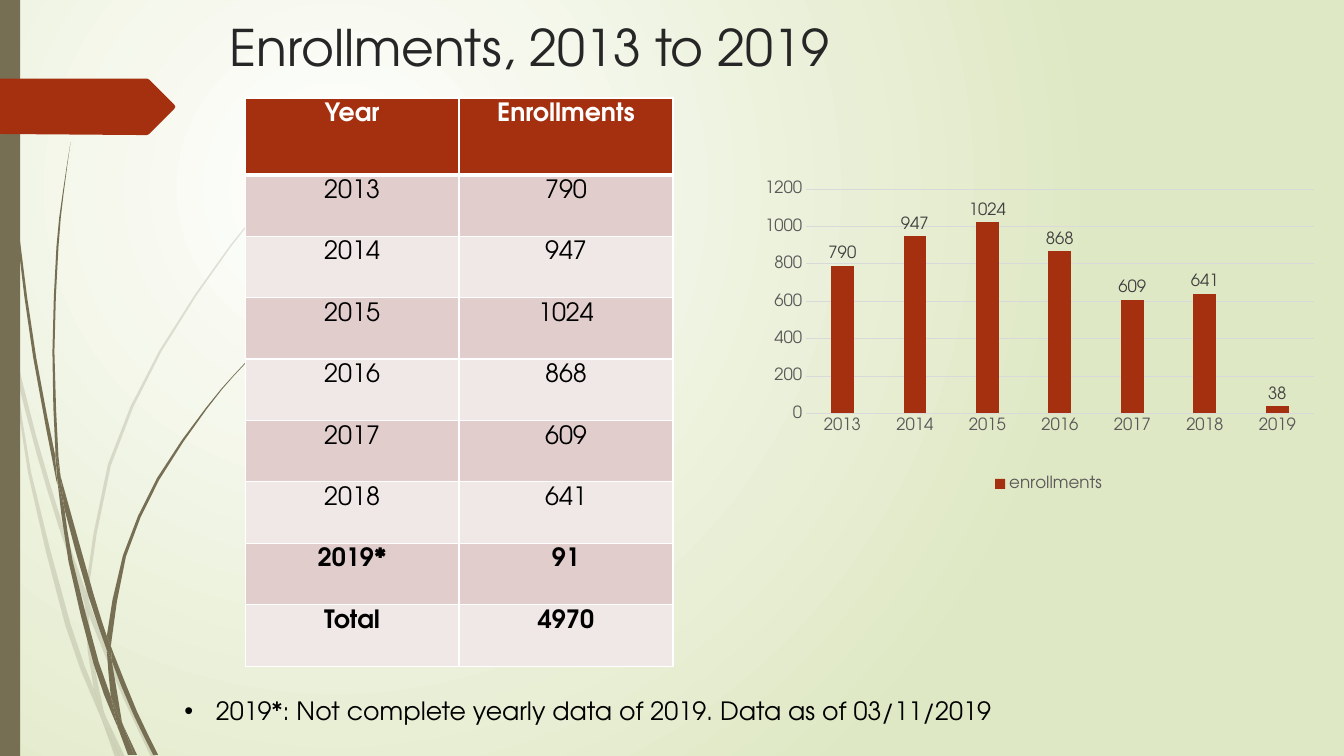
from math import dist

from lxml.etree import SubElement
from pptx import Presentation
from pptx.chart.data import CategoryChartData as Data
from pptx.dml.color import RGBColor
from pptx.enum.chart import XL_CHART_TYPE as Kind
from pptx.enum.chart import XL_LABEL_POSITION as Spot
from pptx.enum.chart import XL_LEGEND_POSITION as Side
from pptx.enum.chart import XL_TICK_MARK as Tick
from pptx.enum.shapes import MSO_SHAPE as Shape
from pptx.enum.text import PP_ALIGN as Align
from pptx.oxml.ns import qn
from pptx.util import Pt

FACE = "TeX Gyre Adventor"
RUST, OLIVE, WHITE, BLACK = "A53010", "766F54", "FFFFFF", "000000"
GREY, PALE = "595959", "D9D9D9"
STRIPES = ["E1CDCC", "F0E8E7"]
YEARS = ["2013", "2014", "2015", "2016", "2017", "2018"]
COUNTS = [790, 947, 1024, 868, 609, 641]
ROWS = [("Year", "Enrollments"), *zip(YEARS, COUNTS), ("2019*", 91), ("Total", 4970)]
UNIT = 0.72

LIGHT = [
    ([(11, 350), (9, 322), (0, 282)], [(0, 299), (10, 344)]),
    ([(17, 376), (36, 449), (58, 522), (84, 599)], [(85, 586), (62, 520), (36, 433), (14, 345)]),
    ([(88, 596), (88, 610), (123, 694), (150, 751)], [(155, 751), (127, 692), (92, 607)]),
    ([(119, 751), (124, 751)], [(105, 711)]),
    ([(93, 683), (70, 619), (31, 469), (17, 376), (11, 350)],
     [(11, 350), (28, 470), (65, 621), (92, 693), (101, 714), (99, 707)]),
    ([(84, 599), (87, 646), (93, 683), (96, 692), (105, 711)],
     [(103, 706), (91, 646), (88, 610), (88, 608)]),
    ([(88, 584), (110, 462), (160, 349), (229, 245), (268, 198), (290, 175), (312, 154)],
     [(312, 153), (289, 175), (268, 197), (228, 244), (158, 348), (107, 461), (85, 584),
      (85, 586), (88, 596)]),
    ([(101, 714), (114, 751)], [(119, 751)]),
    ([(88, 608), (88, 610), (88, 596)], [(85, 586), (84, 599)]),
    ([(96, 692), (93, 683), (99, 707), (101, 714), (119, 751)], [(119, 751), (105, 711)]),
]
DARK = [
    ([(7, 110), (17, 233), (33, 355), (56, 477), (57, 481)],
     [(55, 457), (55, 453), (36, 355), (19, 232), (8, 109), (5, 48), (4, 0), (3, 0), (4, 48)]),
    ([(60, 472), (64, 505), (88, 592), (106, 645)], [(106, 633), (106, 631), (93, 590), (60, 472)]),
    ([(110, 641), (111, 656), (132, 708), (152, 749)], [(157, 749), (136, 706), (113, 649)]),
    ([(110, 691), (98, 657), (72, 556), (64, 505), (57, 477)],
     [(57, 477), (68, 557), (93, 659), (111, 708), (117, 722), (116, 717)]),
    ([(60, 472), (58, 453), (54, 349), (58, 245), (63, 193), (70, 141)],
     [(70, 141), (62, 193), (56, 245), (52, 349), (55, 449), (60, 472)]),
    ([(133, 749), (136, 749)], [(122, 719)]),
    ([(57, 477), (64, 505), (60, 472)], [(55, 449), (55, 453)]),
    ([(111, 633), (125, 552), (158, 476), (205, 406), (231, 374), (245, 359), (261, 344)],
     [(260, 344), (245, 358), (231, 373), (204, 405), (156, 474), (122, 551), (106, 631),
      (110, 641)]),
    ([(117, 722), (127, 749)], [(131, 749)]),
    ([(106, 645), (110, 691), (116, 706), (122, 719)], [(121, 716), (111, 656), (109, 651)]),
    ([(106, 645), (109, 651), (111, 656)], [(110, 641), (106, 631), (106, 633)]),
    ([(116, 706), (110, 691), (116, 717), (117, 722), (130, 749)], [(133, 749), (122, 719)]),
]


def tint(text):
    return RGBColor.from_string(text)


def dye(item, color):
    item.fill.solid()
    item.fill.fore_color.rgb = tint(color)


def style(font, size, color, bold=False):
    font.name, font.size, font.bold = FACE, Pt(size), bold
    font.color.rgb = tint(color)


def plain(item, color, clear=None):
    dye(item, color)
    item.line.fill.background()
    item.shadow.inherit = False
    if clear:
        hue = item.fill._xPr.find(".//" + qn("a:srgbClr"))
        SubElement(hue, qn("a:alpha"), val=str(clear * 1000))


def outline(slide, dots, color, clear=None):
    dots = [(Pt(x * UNIT), Pt(y * UNIT)) for x, y in dots]
    pen = slide.shapes.build_freeform(*dots[0])
    pen.add_line_segments(dots[1:], close=True)
    plain(pen.convert_to_shape(), color, clear)


def smooth(knots):
    ends = [knots[0], *knots, knots[-1]]
    curve = []
    for a, b, c, d in zip(ends, ends[1:], ends[2:], ends[3:]):
        curve.append(b)
        if dist(b, c) > 40:
            curve.append([(9 * (q + r) - p - s) / 16 for p, q, r, s in zip(a, b, c, d)])
    return curve + [knots[-1]]


def back(slide):
    fill = slide.background.fill
    fill.gradient()
    for stop, color in zip(fill.gradient_stops, [WHITE, "DFE8C4"]):
        stop.color.rgb = tint(color)
    grad = slide.element.find(".//" + qn("a:gradFill"))
    grad.remove(grad.find(qn("a:lin")))
    ring = SubElement(grad, qn("a:path"), path="circle")
    SubElement(ring, qn("a:fillToRect"), l="50000", t="50000", r="100000", b="100000")


def label(slide, box, text, size, color):
    frame = slide.shapes.add_textbox(*map(Pt, box)).text_frame
    frame.word_wrap = True
    frame.text = text
    para = frame.paragraphs[0]
    style(para.runs[0].font, size, color)
    return para


def bullet(para, gap):
    props = para._p.get_or_add_pPr()
    props.set("marL", str(Pt(gap)))
    props.set("indent", str(-Pt(gap)))
    SubElement(props, qn("a:buFont"), typeface="Arial")
    SubElement(props, qn("a:buChar"), char="•")


def edge(cell, side, width):
    line = SubElement(cell._tc.get_or_add_tcPr(), qn("a:" + side), w=str(Pt(width)))
    SubElement(SubElement(line, qn("a:solidFill")), qn("a:srgbClr"), val=WHITE)


def table(slide):
    box = map(Pt, (175.1, 70, 305.6, 406))
    grid = slide.shapes.add_table(len(ROWS), 2, *box).table
    for col in grid.columns:
        col.width = Pt(152.8)
    for i, texts in enumerate(ROWS):
        grid.rows[i].height = Pt(43.9 if i else 54.8)
        for j, text in enumerate(texts):
            cell = grid.cell(i, j)
            cell.margin_bottom = 0
            for side in ("lnL", "lnR", "lnT", "lnB"):
                thick = (i, side) in [(0, "lnB"), (1, "lnT")]
                edge(cell, side, 3 if thick else 1)
            dye(cell, STRIPES[(i - 1) % 2] if i else RUST)
            cell.text_frame.text = str(text)
            para = cell.text_frame.paragraphs[0]
            para.alignment = Align.CENTER
            style(para.runs[0].font, 18, BLACK if i else WHITE, i in (0, 7, 8))


def place(chart, spots):
    area = chart._chartSpace.chart.plotArea
    for old in area.findall(qn("c:layout")):
        area.remove(old)
    frame = area.makeelement(qn("c:layout"))
    area.insert(0, frame)
    form = SubElement(frame, qn("c:manualLayout"))
    for tag, val in [("layoutTarget", "inner"), ("xMode", "edge"), ("yMode", "edge"),
                     *zip("xywh", spots)]:
        SubElement(form, qn("c:" + tag), val=str(val))


def graph(slide):
    data = Data()
    data.categories = YEARS + ["2019"]
    data.add_series("enrollments", COUNTS + [38])
    box = map(Pt, (546.5, 87.1, 403.9, 267.1))
    chart = slide.shapes.add_chart(Kind.COLUMN_CLUSTERED, *box, data).chart
    style(chart.font, 10, BLACK)
    chart.has_title, chart.has_legend = False, True
    chart.legend.position = Side.BOTTOM
    chart.legend.include_in_layout = False
    style(chart.legend.font, 12, GREY)
    cats, vals = chart.category_axis, chart.value_axis
    for axis in (cats, vals):
        axis.major_tick_mark = axis.minor_tick_mark = Tick.NONE
        style(axis.tick_labels.font, 12, GREY)
    vals.minimum_scale, vals.maximum_scale, vals.major_unit = 0, 1200, 200
    vals.format.line.fill.background()
    for part in (cats, vals.major_gridlines):
        part.format.line.color.rgb = tint(PALE)
        part.format.line.width = Pt(.75)
    plot = chart.plots[0]
    plot.gap_width, plot.overlap, plot.vary_by_categories = 219, -27, False
    dye(plot.series[0].format, RUST)
    plot.has_data_labels = True
    plot.data_labels.show_value = True
    plot.data_labels.position = Spot.OUTSIDE_END
    style(plot.data_labels.font, 12, "404040")
    place(chart, (.07, .18, .9, .6))


def main():
    deck = Presentation()
    deck.slide_width, deck.slide_height = Pt(960), Pt(540)
    slide = deck.slides.add_slide(deck.slide_layouts[6])
    back(slide)
    for blades, clear in ((LIGHT, 20), (DARK, None)):
        for left, right in blades:
            outline(slide, smooth(left) + smooth(right), OLIVE, clear)
    bar = slide.shapes.add_shape(Shape.RECTANGLE, 0, 0, Pt(14.4), Pt(540))
    plain(bar, OLIVE)
    outline(slide, [(0, 78), (146, 78), (148, 79), (173, 104), (174, 106), (173, 108),
                    (148, 133), (146, 134), (136, 134), (0, 133)], RUST)
    label(slide, (157, 8, 648, 62.6), "Enrollments, 2013 to 2019", 36, "262626")
    table(slide)
    graph(slide)
    note = label(slide, (124.6, 493.2, 692.6, 29),
                 "2019*: Not complete yearly data of 2019. Data as of 03/11/2019", 18, BLACK)
    bullet(note, 22.5)
    deck.save("out.pptx")


main()
